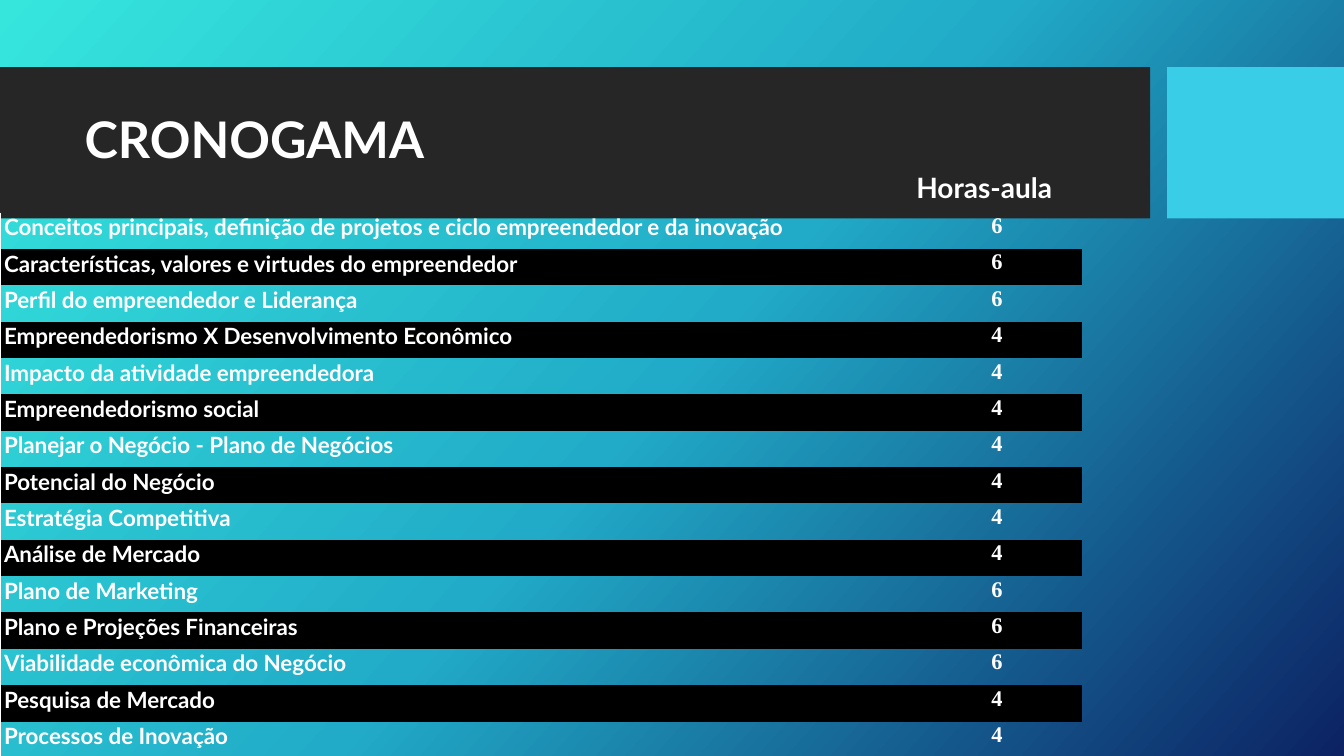
from copy import deepcopy
from dataclasses import dataclass

from lxml.etree import SubElement
from pptx import Presentation
from pptx.dml.color import RGBColor
from pptx.enum.shapes import MSO_SHAPE as Shape
from pptx.enum.text import MSO_ANCHOR as Anchor, PP_ALIGN as Align
from pptx.oxml.ns import qn
from pptx.util import Emu, Inches, Pt

WHITE = RGBColor(0xFF, 0xFF, 0xFF)
BLACK = RGBColor(0x00, 0x00, 0x00)
CHARCOAL = RGBColor(0x26, 0x26, 0x26)
CYAN = RGBColor(0x39, 0xCD, 0xE7)
GRADIENT = [
    (0.0, RGBColor(0x36, 0xE6, 0xDD)),
    (0.5, RGBColor(0x21, 0xAB, 0xC8)),
    (1.0, RGBColor(0x0C, 0x22, 0x63)),
]
GRADIENT_ANGLE = 42
SLIDE_WIDTH, SLIDE_HEIGHT = Inches(13.33), Inches(7.5)
NO_GRID_STYLE = "{2D5ABB26-0587-4C30-8999-92F81FD0307C}"

# Shares of the slide, in percent
TABLE_TOP = 22.4
COLUMN_SHARES = (67.88, 12.6)
HEADER_SHARE, ROW_SHARE = 5.73, 4.81

CELL_MARGINS = {
    "margin_left": Inches(0.04), "margin_top": Inches(0.01),
    "margin_right": Inches(0.04), "margin_bottom": Inches(0.08),
}
TITLE_FONT = {"name": "Lato", "size": Pt(36), "bold": True}
HEADER_FONT = {"name": "Lato", "size": Pt(20), "bold": True}
TOPIC_FONT = {"name": "Lato", "size": Pt(16), "bold": True}
HOURS_FONT = {"name": "Times New Roman", "size": Pt(16), "bold": True}


@dataclass(frozen=True)
class Box:
    """A rectangle in percent of the slide."""
    left: float
    top: float
    width: float
    height: float


@dataclass(frozen=True)
class Topic:
    """A course topic and its class hours."""
    name: str
    hours: int


TITLE_BAND = Box(0, 8.9, 85.58, 20)
ACCENT_BAND = Box(86.85, 8.9, 13.15, 20)
TITLE_BOX = Box(5.55, 10.93, 78.84, 15.73)

TOPICS = [
    Topic("Conceitos principais, definição de projetos e ciclo empreendedor e da inovação", 6),
    Topic("Características, valores e virtudes do empreendedor", 6),
    Topic("Perfil do empreendedor e Liderança", 6),
    Topic("Empreendedorismo X Desenvolvimento Econômico", 4),
    Topic("Impacto da atividade empreendedora", 4),
    Topic("Empreendedorismo social", 4),
    Topic("Planejar o Negócio - Plano de Negócios", 4),
    Topic("Potencial do Negócio", 4),
    Topic("Estratégia Competitiva", 4),
    Topic("Análise de Mercado", 4),
    Topic("Plano de Marketing", 6),
    Topic("Plano e Projeções Financeiras", 6),
    Topic("Viabilidade econômica do Negócio", 6),
    Topic("Pesquisa de Mercado", 4),
    Topic("Processos de Inovação", 4),
]


def across(share: float) -> Emu:
    """Turn a percentage of the slide width into a length."""
    return Emu(round(SLIDE_WIDTH * share / 100))


def down(share: float) -> Emu:
    """Turn a percentage of the slide height into a length."""
    return Emu(round(SLIDE_HEIGHT * share / 100))


def apply_format(target: object, values: dict) -> None:
    """Set every attribute listed in values."""
    for name, value in values.items():
        setattr(target, name, value)


def frame_of(box: Box) -> dict:
    """Give the position and size of a box as attributes."""
    return {"left": across(box.left), "top": down(box.top),
            "width": across(box.width), "height": down(box.height)}


def write(paragraph, text: str, font: dict, align: Align = Align.LEFT) -> None:
    """Put one white run into a paragraph."""
    paragraph.alignment = align
    run = paragraph.add_run()
    run.text = text
    apply_format(run.font, font)
    run.font.color.rgb = WHITE


def paint_background(slide) -> None:
    """Fill the slide with the diagonal gradient."""
    fill = slide.background.fill
    fill.gradient()
    fill.gradient_angle = 360 - GRADIENT_ANGLE
    stop_list = next(slide.element.iter(qn("a:gsLst")))
    stop_list.append(deepcopy(stop_list[-1]))
    for stop, (position, color) in zip(fill.gradient_stops, GRADIENT):
        stop.position = position
        stop.color.rgb = color


def add_band(slide, box: Box, color: RGBColor) -> None:
    """Draw a plain rectangle."""
    band = slide.shapes.add_shape(Shape.RECTANGLE, *frame_of(box).values())
    band.shadow.inherit = False
    band.fill.solid()
    band.fill.fore_color.rgb = color
    band.line.fill.background()


def add_left_border(cell) -> None:
    """Draw a thin white line on the left of a cell."""
    properties = cell.fill and cell._tc.get_or_add_tcPr()
    line = SubElement(properties, qn("a:lnL"), w=str(Pt(0.75)))
    solid = SubElement(line, qn("a:solidFill"))
    SubElement(solid, qn("a:srgbClr"), val=str(WHITE))
    properties.insert(0, line)


def add_schedule(slide) -> None:
    """Add the table of topics and hours."""
    row_shares = [HEADER_SHARE] + [ROW_SHARE] * len(TOPICS)
    table_box = Box(0, TABLE_TOP, sum(COLUMN_SHARES), sum(row_shares))
    frame = slide.shapes.add_table(
        len(row_shares), len(COLUMN_SHARES), *frame_of(table_box).values())
    table = frame.table
    apply_format(table, {"first_row": False, "horz_banding": False})
    next(frame.element.iter(qn("a:tableStyleId"))).text = NO_GRID_STYLE
    for column, share in zip(table.columns, COLUMN_SHARES):
        column.width = across(share)
    for row, share in zip(table.rows, row_shares):
        row.height = down(share)
    for cell in table.iter_cells():
        apply_format(cell, CELL_MARGINS)
        cell.fill.background()

    header = table.cell(0, 1)
    header.vertical_anchor = Anchor.BOTTOM
    write(header.text_frame.paragraphs[0], "Horas-aula", HEADER_FONT)
    for row, topic in enumerate(TOPICS, start=1):
        name_cell, hours_cell = table.cell(row, 0), table.cell(row, 1)
        write(name_cell.text_frame.paragraphs[0], topic.name, TOPIC_FONT)
        write(hours_cell.text_frame.paragraphs[0], str(topic.hours), HOURS_FONT, Align.CENTER)
        if row % 2 == 0:
            for cell in (name_cell, hours_cell):
                cell.fill.solid()
                cell.fill.fore_color.rgb = BLACK
        add_left_border(name_cell)


def place_title(slide) -> None:
    """Format the title and bring it in front of the bands."""
    title = slide.shapes.title
    apply_format(title, frame_of(TITLE_BOX))
    apply_format(title.text_frame, {"vertical_anchor": Anchor.MIDDLE, "word_wrap": True})
    paragraph = title.text_frame.paragraphs[0]
    paragraph.line_spacing = 0.9
    write(paragraph, "CRONOGAMA", TITLE_FONT)
    slide.shapes[-1].element.addnext(title.element)


presentation = Presentation()
apply_format(presentation, {"slide_width": SLIDE_WIDTH, "slide_height": SLIDE_HEIGHT})
slide = presentation.slides.add_slide(presentation.slide_layouts.get_by_name("Title Only"))
paint_background(slide)
add_band(slide, TITLE_BAND, CHARCOAL)
add_band(slide, ACCENT_BAND, CYAN)
place_title(slide)
add_schedule(slide)
presentation.save("out.pptx")
